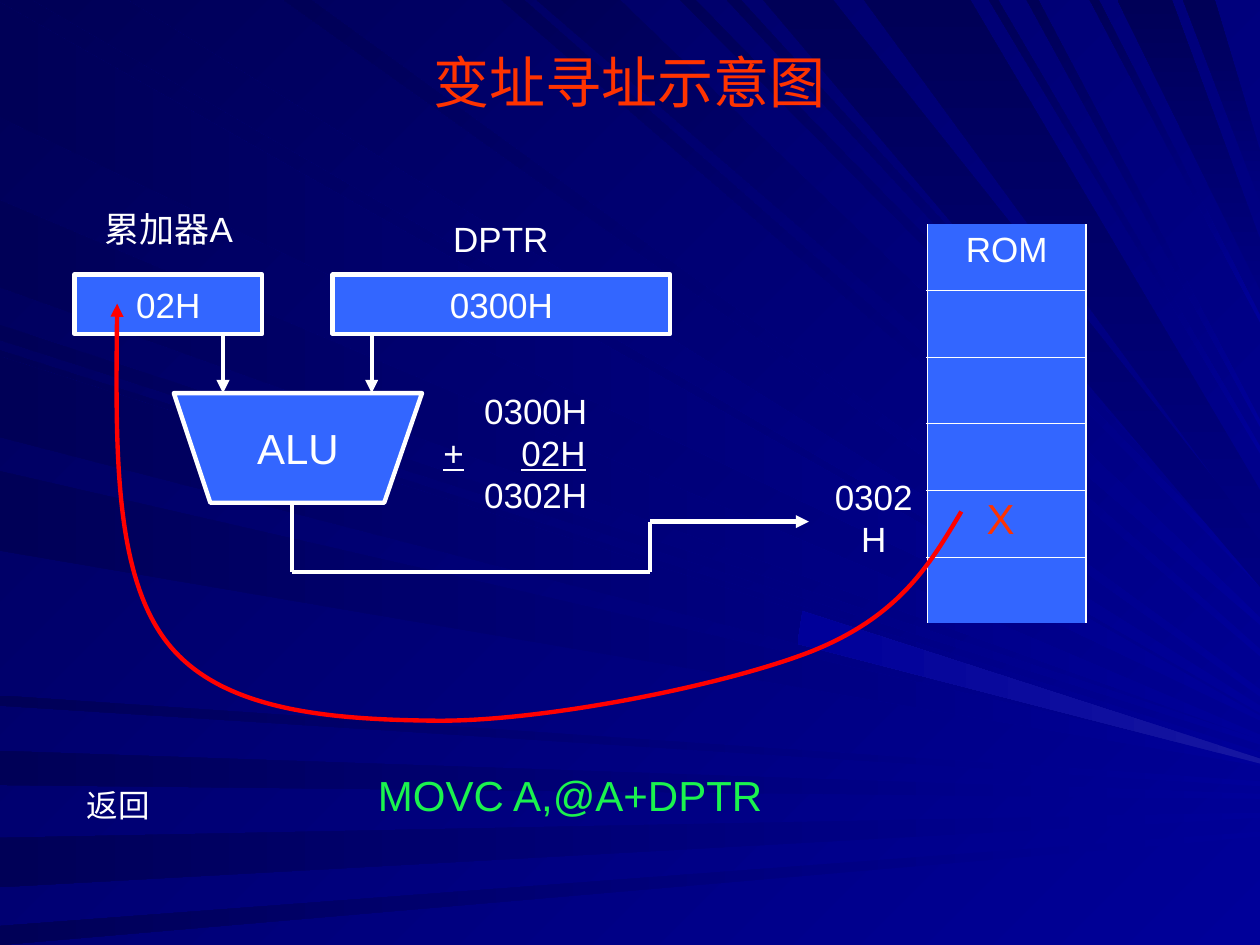
"""Build the indexed-addressing diagram on a grid of 1000 columns by 750 rows."""
from lxml import etree
from pptx import Presentation
from pptx import util as u
from pptx.dml.color import RGBColor
from pptx.enum import shapes, text
from pptx.oxml import ns

COLS, ROWS = 1000, 750
UNIT = u.Inches(10) // COLS
WHITE = RGBColor(0xFF, 0xFF, 0xFF)
BOX_BLUE = RGBColor(0x33, 0x66, 0xFF)
ORANGE = RGBColor(0xFF, 0x33, 0x00)
RED = RGBColor(0xFF, 0x00, 0x00)
GREEN = RGBColor(0x1B, 0xF3, 0x4E)
BRIGHT = RGBColor(0x00, 0x00, 0x99)
DUSK = RGBColor(0x00, 0x00, 0x80)
DEEP = RGBColor(0x00, 0x00, 0x57)
GLOW = RGBColor(0x16, 0x16, 0xA1)
CENTER, LEFT, RIGHT = text.PP_ALIGN.CENTER, text.PP_ALIGN.LEFT, text.PP_ALIGN.RIGHT
TOP, MIDDLE = text.MSO_ANCHOR.TOP, text.MSO_ANCHOR.MIDDLE

LEFT_RAYS = [(2, 93, 570), (596, 623, 632), (665, 704, 647), (735, 750, 662),
             (258, 270, 589), (159, 228, 585), (278, 342, 599), (374, 437, 606),
             (552, 560, 622), (283, 347, 604)]
TOP_RAYS = [(26, 101, 563), (398, 416, 518), (426, 492, 493), (540, 552, 463),
            (225, 247, 550), (577, 588, 454), (785, 792, 357), (815, 824, 336),
            (865, 872, 253)]
WIDE_RAYS = [(606, 661, 446), (887, 930, 210), (939, 964, 140), (686, 770, 409)]


def grid(*counts):
    """Turn counts of grid units into lengths."""
    return [u.Emu(n * UNIT) for n in counts]


def apply(obj, **fmt):
    """Set each format value on the object."""
    for name, value in fmt.items():
        setattr(obj, name, value)


def shade(fill, start, end, angle):
    """Fill with a two-stop gradient at a counterclockwise angle."""
    fill.gradient()
    fill.gradient_angle = angle
    for stop, color in zip(fill.gradient_stops, (start, end)):
        stop.color.rgb = color


def stroke(line, color=WHITE, arrow=False):
    """Draw the line at the diagram's weight, with an optional arrowhead."""
    line.color.rgb = color
    line.width = u.Pt(2.5)
    if arrow:
        etree.SubElement(line._get_or_add_ln(), ns.qn("a:tailEnd"), type="triangle")


def write(tf, lines, size=20, color=WHITE, align=CENTER, anchor=MIDDLE, wrap=False, before=None):
    """Write the lines as formatted paragraphs."""
    apply(tf, word_wrap=wrap, vertical_anchor=anchor)
    for i, line in enumerate(lines):
        p = tf.add_paragraph() if i else tf.paragraphs[0]
        apply(p, alignment=align, space_before=before)
        r = p.add_run()
        r.text = line
        apply(r.font, size=u.Pt(size), name="Arial")
        r.font.color.rgb = color


def outline(tree, points, close=True):
    """Add a freeform through grid points."""
    builder = tree.build_freeform(*points[0], scale=UNIT)
    builder.add_line_segments(points[1:], close=close)
    sp = builder.convert_to_shape()
    sp.shadow.inherit = False
    return sp


def add_ray(tree, a, b, tip, start, end, angle, spread=0):
    """Add a ray from two edge points to a spot on the right edge."""
    sp = outline(tree, [a, b, (COLS, tip - spread), (COLS, tip + spread)])
    shade(sp.fill, start, end, angle)
    sp.line.fill.background()


def add_rays(s):
    """Add the background rays as one group."""
    tree = s.shapes.add_group_shape().shapes
    for a, b, tip in LEFT_RAYS:
        add_ray(tree, (0, b), (0, a), tip, BRIGHT, DEEP, 180, 2)
    for a, b, tip in TOP_RAYS:
        add_ray(tree, (a, 0), (b, 0), tip, BRIGHT, DEEP, 135, 3)
    for a, b, tip in WIDE_RAYS:
        add_ray(tree, (a, 0), (b, 0), tip, DUSK, DEEP, 90, 20)
    add_ray(tree, (633, 511), (637, 485), 604, GLOW, BRIGHT, 180, 2)


def style_block(sp, label, size=20):
    """Give a register or unit its fill, border and label."""
    sp.shadow.inherit = False
    sp.fill.solid()
    sp.fill.fore_color.rgb = BOX_BLUE
    stroke(sp.line)
    write(sp.text_frame, [label], size)


def add_label(s, box, lines, **fmt):
    """Add a text box and return its frame."""
    tf = s.shapes.add_textbox(*grid(*box)).text_frame
    write(tf, lines, **fmt)
    return tf


def add_route(s, points):
    """Join points with straight connectors, the last one an arrow."""
    for i, (a, b) in enumerate(zip(points, points[1:]), 2):
        c = s.shapes.add_connector(shapes.MSO_CONNECTOR.STRAIGHT, *grid(*a, *b))
        stroke(c.line, arrow=i == len(points))
        etree.SubElement(c._element.spPr, ns.qn("a:effectLst"))


def add_curve(s, points):
    """Add an open red arrow through cubic Bezier points."""
    sp = outline(s.shapes, points, close=False)
    sp.fill.background()
    stroke(sp.line, RED, arrow=True)
    steps = list(sp._element.iter(ns.qn("a:lnTo")))
    track = steps[0].getparent()
    for i in range(0, len(steps), 3):
        bezier = etree.SubElement(track, ns.qn("a:cubicBezTo"))
        for step in steps[i:i + 3]:
            bezier.append(step[0])
            track.remove(step)


def set_borders(cell, widths):
    """Set white borders by side in points, with none where zero."""
    tc_pr = cell._tc.get_or_add_tcPr()
    for i, (side, width) in enumerate(widths.items()):
        ln = etree.Element(ns.qn("a:ln" + side), w=str(int(u.Pt(width))))
        if width:
            solid = etree.SubElement(ln, ns.qn("a:solidFill"))
            etree.SubElement(solid, ns.qn("a:srgbClr"), val=str(WHITE))
        else:
            etree.SubElement(ln, ns.qn("a:noFill"))
        tc_pr.insert(i, ln)


def add_memory(s, box, count):
    """Add the ROM column of cells."""
    table = s.shapes.add_table(count, 1, *grid(*box)).table
    apply(table, first_row=False, horz_banding=False)
    for i in range(count):
        cell = table.cell(i, 0)
        cell.fill.solid()
        cell.fill.fore_color.rgb = BOX_BLUE
        set_borders(cell, {"L": 1.08, "R": 1.08, "T": 0.45 if i else 0,
                           "B": 0.45 if i < count - 1 else 0})
    write(table.cell(0, 0).text_frame, ["ROM"], anchor=TOP, wrap=True, before=u.Pt(5))
    target = table.cell(4, 0)
    target.margin_left = grid(47)[0]
    write(target.text_frame, ["X"], 24, ORANGE, LEFT, TOP, True, u.Pt(6))


def add_sum(s):
    """Add the address sum, its addend row underlined up to a right tab."""
    tf = add_label(s, (342, 304, 134, 102), ["0300H", "+\t02H", "0302H"],
                   align=RIGHT, anchor=TOP, wrap=True)
    p = tf.paragraphs[1]
    p.alignment = LEFT
    p.runs[0].font.underline = True
    tabs = etree.SubElement(p._p.get_or_add_pPr(), ns.qn("a:tabLst"))
    etree.SubElement(tabs, ns.qn("a:tab"), pos=str(113 * UNIT), algn="r")


def main():
    """Build and save the slide."""
    prs = Presentation()
    prs.slide_width, prs.slide_height = grid(COLS, ROWS)
    s = prs.slides.add_slide(prs.slide_layouts[5])
    shade(s.background.fill, BRIGHT, DEEP, 135)
    add_rays(s)
    title = s.shapes.title
    apply(title, **dict(zip(("left", "top", "width", "height"), grid(50, 30, 900, 69))))
    write(title.text_frame, ["变址寻址示意图"], 32, ORANGE, wrap=True)
    s.shapes._spTree.append(title._element)
    for left, width, label in ((59, 149, "02H"), (264, 268, "0300H")):
        box = grid(left, 218, width, 47)
        style_block(s.shapes.add_shape(shapes.MSO_SHAPE.RECTANGLE, *box), label)
    add_memory(s, (736, 178, 126, 317), 6)
    style_block(outline(s.shapes, [(138, 312), (335, 312), (305, 399), (167, 399)]), "ALU", 24)
    for x in (177, 295):
        add_route(s, [(x, 265), (x, 312)])
    add_route(s, [(232, 399), (232, 454), (516, 454), (516, 414), (642, 414)])
    add_label(s, (650, 391, 87, 39), ["0302H"])
    add_label(s, (59, 162, 150, 39), ["累加器A"])
    add_label(s, (319, 170, 157, 39), ["DPTR"])
    add_sum(s)
    add_curve(s, [(763, 406), (738, 448), (714, 489), (644, 517), (575, 544), (430, 573),
                  (345, 572), (260, 571), (174, 564), (132, 509), (90, 454), (92, 347), (93, 241)])
    add_label(s, (240, 603, 425, 55), ["MOVC A,@A+DPTR"], size=24, color=GREEN)
    add_label(s, (59, 619, 79, 40), ["返回"], size=18, align=LEFT, anchor=TOP,
              wrap=True, before=u.Pt(11.2))
    prs.save("out.pptx")


if __name__ == "__main__":
    main()
